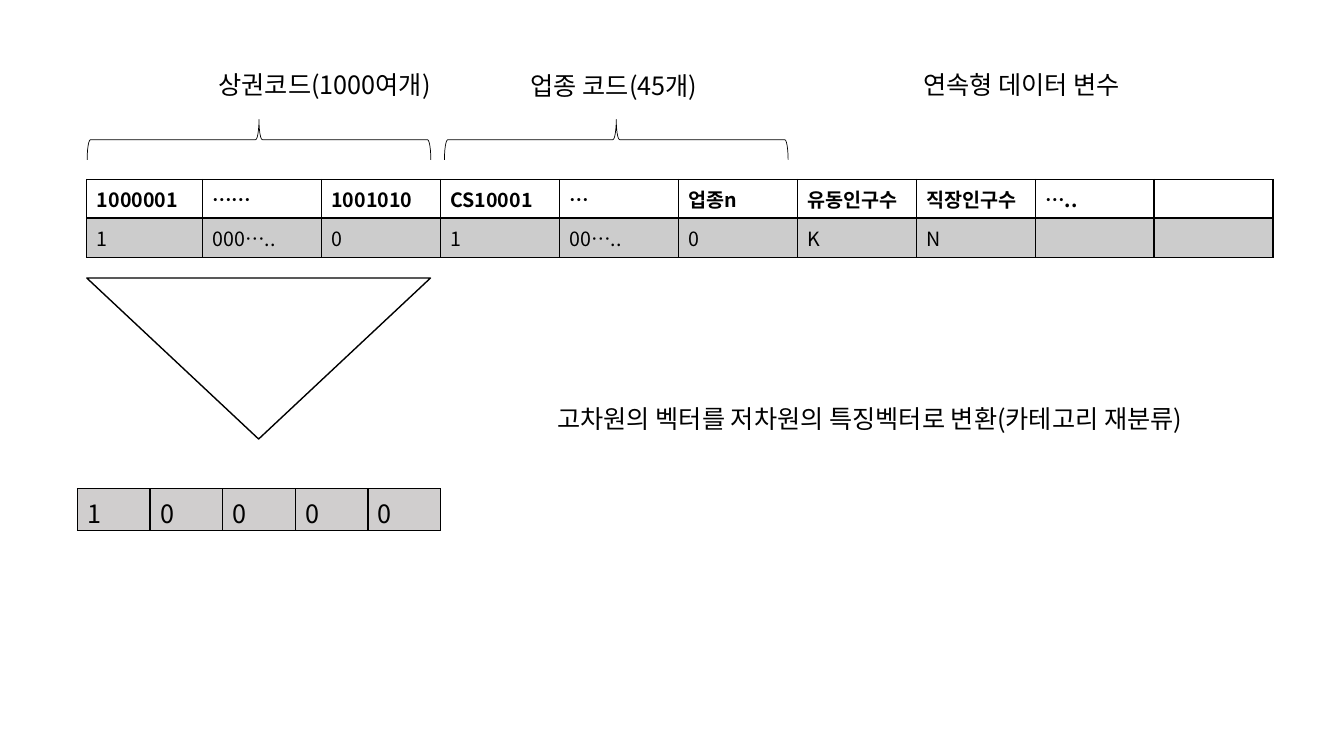
"""Slide: one-hot encoded input vector reduced to a low-dimensional feature vector."""
from lxml import etree
from pptx import Presentation
from pptx.dml.color import RGBColor
from pptx.enum.shapes import MSO_SHAPE
from pptx.enum.text import MSO_AUTO_SIZE
from pptx.oxml import parse_xml
from pptx.oxml.ns import nsdecls, qn
from pptx.util import Pt

BRACE = MSO_SHAPE.RIGHT_BRACE
MERGE = MSO_SHAPE.FLOWCHART_MERGE
FIT_SHAPE = MSO_AUTO_SIZE.SHAPE_TO_FIT_TEXT
FONT = "Noto Sans CJK KR"
COLORS = {"ink": "000000", "paper": "FFFFFF", "code": "D0CECE"}
INK = RGBColor.from_string(COLORS["ink"])


def write(frame, text, size, bold=False):
    """Put one styled paragraph into a text frame."""
    frame.text = text
    paragraph = frame.paragraphs[0]
    for run in paragraph.runs:
        run.font.size = Pt(size)
        run.font.bold = bold
        run.font.name = FONT
        run.font.color.rgb = INK
        etree.SubElement(run.font._element, qn("a:ea"), typeface=FONT)
    if not text:
        etree.SubElement(paragraph._p, qn("a:endParaRPr"), sz=str(size * 100))


def draw_table(left, top, widths, heights, rows, size, fills):
    """Add a bordered table; each fill is (color, opacity) or None per row."""
    table = slide.shapes.add_table(
        len(rows), len(widths), Pt(left), Pt(top), Pt(sum(widths)), Pt(sum(heights))).table
    table.first_row = table.horz_banding = False
    for column, width in zip(table.columns, widths):
        column.width = Pt(width)
    for r, (texts, height, fill) in enumerate(zip(rows, heights, fills)):
        table.rows[r].height = Pt(height)
        for c, text in enumerate(texts):
            cell = table.cell(r, c)
            write(cell.text_frame, text, size, bold=fill is None)
            properties = cell._tc.get_or_add_tcPr()
            for side in "LRTB":
                line_width = Pt(2 if fill is None and side == "B" else 1)
                properties.append(parse_xml(
                    f'<a:ln{side} {nsdecls("a")} w="{line_width}"><a:solidFill>'
                    f'<a:srgbClr val="{COLORS["ink"]}"/></a:solidFill></a:ln{side}>'))
            if fill is None:
                cell.fill.background()
                continue
            color, opacity = fill
            cell.fill.solid()
            cell.fill.fore_color.rgb = RGBColor.from_string(COLORS[color])
            if opacity < 100:
                shade = properties.find(qn("a:solidFill")).find(qn("a:srgbClr"))
                etree.SubElement(shade, qn("a:alpha"), val=str(opacity * 1000))
    return table


presentation = Presentation()
presentation.slide_width, presentation.slide_height = Pt(960), Pt(540)
slide = presentation.slides.add_slide(presentation.slide_layouts[6])

input_rows = [
    ["1000001", "……", "1001010", "CS10001", "…", "업종n", "유동인구수", "직장인구수", "…..", ""],
    ["1", "000…..", "0", "1", "00…..", "0", "K", "N", "", ""],
]
draw_table(62, 128.2, [82.5] + [85] * 9, [27.5, 28], input_rows, 14, [None, ("ink", 20)])

for brace_left in (170.6, 425.8):
    brace = slide.shapes.add_shape(BRACE, Pt(brace_left), Pt(-23), Pt(28.8), Pt(245.5))
    brace.rotation = 270
    brace.shadow.inherit = False
    brace.fill.background()
    brace.line.color.rgb = INK
    brace.line.width = Pt(0.5)

reduction = slide.shapes.add_shape(MERGE, Pt(62), Pt(198.6), Pt(245.5), Pt(115))
reduction.shadow.inherit = False
reduction.fill.solid()
reduction.fill.fore_color.rgb = RGBColor.from_string(COLORS["paper"])
reduction.line.color.rgb = INK
reduction.line.width = Pt(1)

feature_vector = draw_table(
    55.3, 349.2, [51.9] * 5, [28.6], [["1", "0", "0", "0", "0"]], 18, [("code", 100)])
for feature in feature_vector.iter_cells():
    feature.margin_bottom = 0

captions = [
    ("상권코드(1000여개)", 149, 46, 199),
    ("업종 코드(45개)", 372, 46.8, 199),
    ("연속형 데이터 변수", 652.5, 46, 199),
    ("고차원의 벡터를 저차원의 특징벡터로 변환(카테고리 재분류)", 391, 284.4, 519),
]
for text, left, top, width in captions:
    caption = slide.shapes.add_textbox(Pt(left), Pt(top), Pt(width), Pt(29)).text_frame
    caption.word_wrap = True
    caption.auto_size = FIT_SHAPE
    write(caption, text, 18)

presentation.save("out.pptx")
